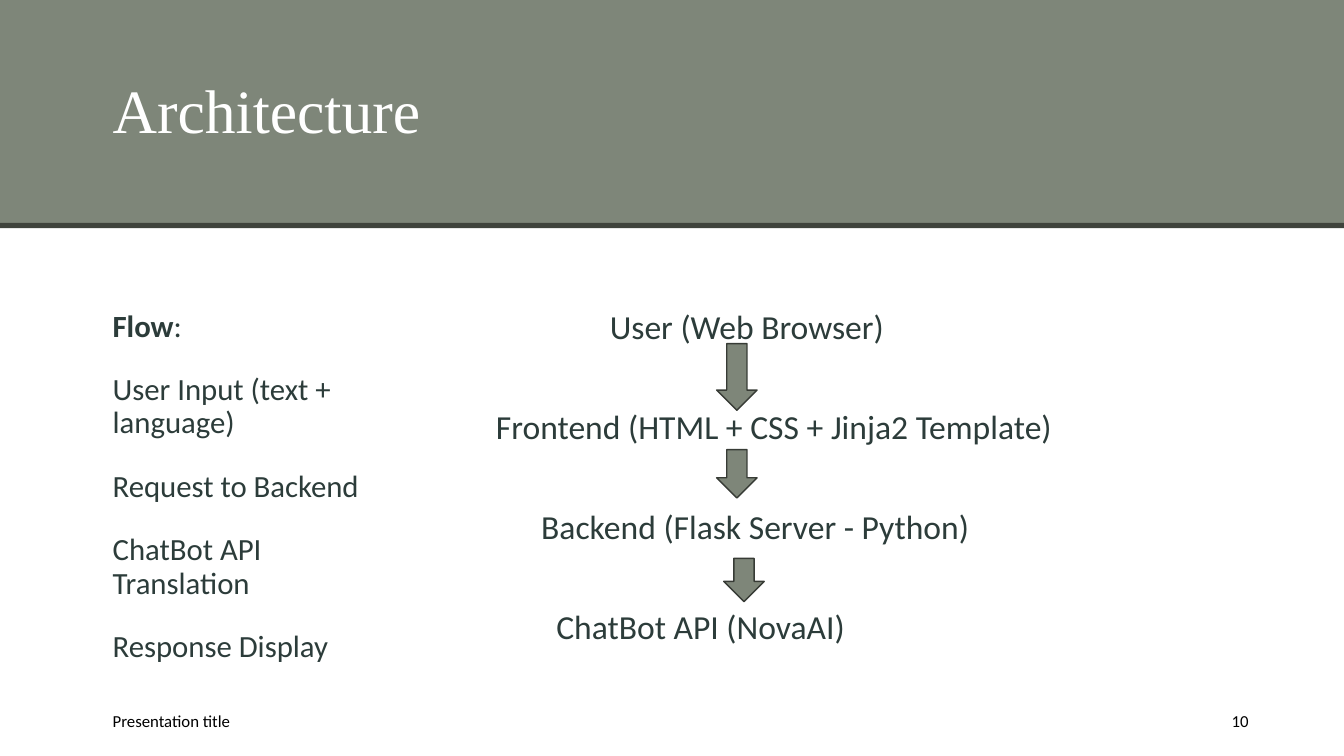
from dataclasses import dataclass

import pptx
import pptx.dml.color
import pptx.enum.shapes
import pptx.enum.text
import pptx.util
from pptx.util import Cm


@dataclass(frozen=True)
class Theme:
    sage: str = "7E8679"
    rule: str = "3F433C"
    outline: str = "373B35"
    ink: str = "2C3C3A"
    white: str = "FFFFFF"
    black: str = "000000"
    heading_font: str = "Times New Roman"
    body_font: str = "Calibri"
    title_size: float = 44
    flow_size: float = 22
    layer_size: float = 24
    footer_size: float = 12


theme = Theme()
Anchor = pptx.enum.text.MSO_ANCHOR
Align = pptx.enum.text.PP_ALIGN
Preset = pptx.enum.shapes.MSO_SHAPE


def add_block(preset, left, top, width, height, fill, outline=None):
    shape = slide.shapes.add_shape(preset, Cm(left), Cm(top), Cm(width), Cm(height))
    shape.shadow.inherit = False
    shape.fill.solid()
    shape.fill.fore_color.rgb = pptx.dml.color.RGBColor.from_string(fill)
    if outline:
        shape.line.color.rgb = pptx.dml.color.RGBColor.from_string(outline)
        shape.line.width = pptx.util.Pt(1)
    else:
        shape.line.fill.background()


def add_text(box, paragraphs, size, color, font=theme.body_font, anchor=Anchor.TOP,
             align=Align.LEFT, spacing=1.0, gap=0):
    shape = slide.shapes.add_textbox(*[Cm(length) for length in box])
    frame = shape.text_frame
    frame.word_wrap = True
    frame.vertical_anchor = anchor
    for index, (indent, runs) in enumerate(paragraphs):
        paragraph = frame.paragraphs[0] if index == 0 else frame.add_paragraph()
        paragraph.alignment = align
        paragraph.line_spacing = spacing
        paragraph.space_before = pptx.util.Pt(gap if index else 0)
        if indent:
            properties = paragraph._p.get_or_add_pPr()
            properties.set("marL", str(Cm(indent)))
            properties.set("indent", "0")
        for text, bold in runs:
            run = paragraph.add_run()
            run.text = text
            run.font.name = font
            run.font.size = pptx.util.Pt(size)
            run.font.bold = bold
            run.font.color.rgb = pptx.dml.color.RGBColor.from_string(color)


presentation = pptx.Presentation()
presentation.slide_width = Cm(33.87)
presentation.slide_height = Cm(19.05)
slide = presentation.slides.add_slide(presentation.slide_layouts[6])

add_block(Preset.RECTANGLE, 0, 0, 33.87, 5.69, theme.sage)
add_block(Preset.RECTANGLE, 0, 5.62, 33.87, 0.13, theme.rule)
add_text((2.59, 0.64, 26.47, 4.45), [(0, [("Architecture", False)])], theme.title_size,
         theme.white, theme.heading_font, Anchor.MIDDLE, spacing=0.9)

flow_steps = ["User Input (text + language)", "Request to Backend",
              "ChatBot API Translation", "Response Display"]
flow = [(0, [("Flow", True), (":", False)])]
flow += [(0, [(step, False)]) for step in flow_steps]
add_text((2.59, 7.7, 6.91, 9.73), flow, theme.flow_size, theme.ink, spacing=0.9, gap=21.6)

layers = [
    (4.6, "User (Web Browser)"),
    (1.73, "Frontend (HTML + CSS + Jinja2 Template)"),
    (2.87, "Backend (Flask Server - Python)"),
    (3.25, "ChatBot API (NovaAI)"),
]
add_text((10.52, 7.7, 21.03, 9.42), [(indent, [(name, False)]) for indent, name in layers],
         theme.layer_size, theme.ink, spacing=0.9, gap=45.4)

for left, top, height in [(18.06, 8.66, 1.68), (18.06, 11.33, 1.22), (18.24, 14.07, 1.09)]:
    add_block(Preset.DOWN_ARROW, left, top, 1.02, height, theme.sage, theme.outline)

for left, width, text, align in [(2.59, 11.43, "Presentation title", Align.LEFT),
                                 (29.54, 2.18, "10", Align.RIGHT)]:
    add_text((left, 17.65, width, 1.02), [(0, [(text, False)])], theme.footer_size,
             theme.black, anchor=Anchor.MIDDLE, align=align)

presentation.save("out.pptx")
